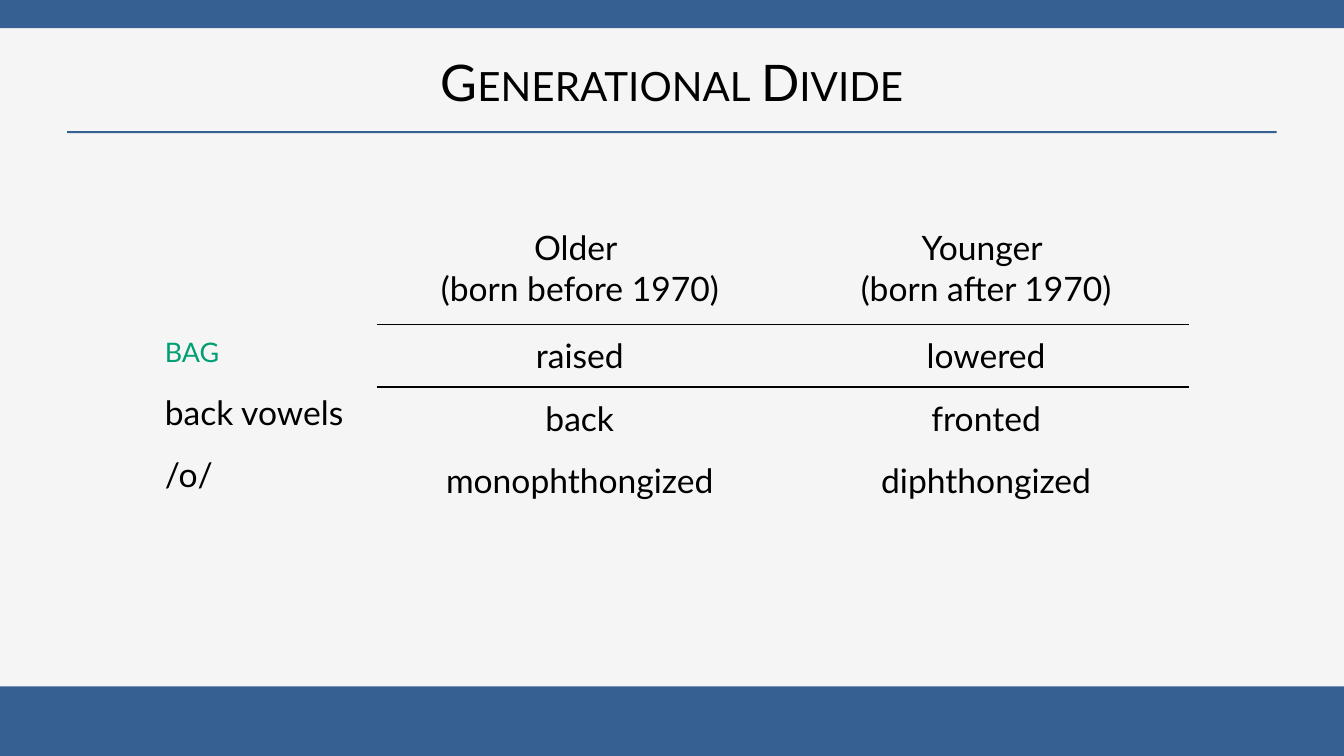
from lxml.etree import SubElement
from pptx import Presentation
from pptx.dml.color import RGBColor
from pptx.enum.shapes import MSO_SHAPE
from pptx.enum.text import MSO_ANCHOR, PP_ALIGN
from pptx.oxml import parse_xml
from pptx.oxml.ns import nsdecls, qn
from pptx.util import Inches, Pt

COLORS = {"back": "F5F5F5", "band": "376092", "text": "000000", "bag": "009E73"}
WIDE, HIGH = 13.33, 7.5
FONT = "Lato"
PLAIN = "{2D5ABB26-0587-4C30-8999-92F81FD0307C}"
COLS = [2.2, 4.03, 4.03]
ROWS = [1.12, 0.62, 0.62, 0.62]
RULED = {0: ["lnB"], 1: ["lnT", "lnB"]}
CELLS = [
    ["", "Older \n(born before 1970)", "Younger \n(born after 1970)"],
    ["bag", "raised", "lowered"],
    ["back vowels", "back", "fronted"],
    ["/o/", "monophthongized", "diphthongized"],
]


def color(name):
    """Return a named colour."""
    return RGBColor.from_string(COLORS[name])


def write(para, text, size, tint="text", align=PP_ALIGN.LEFT, small=False):
    """Fill a paragraph with styled text, in small capitals if asked."""
    para.text = text
    para.alignment = align
    para.font.name = FONT
    para.font.size = Pt(size)
    para.font.color.rgb = color(tint)
    if small:
        para.runs[0]._r.get_or_add_rPr().set("cap", "small")


def band(slide, box):
    """Draw one solid blue band in the box."""
    shape = slide.shapes.add_shape(MSO_SHAPE.RECTANGLE, *map(Inches, box))
    shape.shadow.inherit = False
    shape.fill.solid()
    shape.fill.fore_color.rgb = color("band")
    shape.line.fill.background()


def head(slide, box):
    """Place the title in the box with a rule under it."""
    left, top, width, height = box
    title = slide.shapes.title
    title.left, title.top, title.width, title.height = map(Inches, box)
    title.text_frame.vertical_anchor = MSO_ANCHOR.MIDDLE
    write(title.text_frame.paragraphs[0], "Generational Divide", 36,
          align=PP_ALIGN.CENTER, small=True)
    band(slide, (left, top + height, width, 0.02))


def rule(cell, sides):
    """Draw thin lines on the given sides of a cell."""
    props = cell._tc.get_or_add_tcPr()
    for spot, side in enumerate(sides):
        line = parse_xml(f'<a:{side} {nsdecls("a")} w="12700"/>')
        fill = SubElement(line, qn("a:solidFill"))
        SubElement(fill, qn("a:srgbClr"), val=COLORS["text"])
        props.insert(spot, line)


def grid(slide, left, top):
    """Place the comparison table with its corner at left and top."""
    frame = slide.shapes.add_table(
        len(ROWS), len(COLS), Inches(left), Inches(top),
        Inches(sum(COLS)), Inches(sum(ROWS)))
    table = frame.table
    table.first_row = table.horz_banding = False
    table._tbl.tblPr.find(qn("a:tableStyleId")).text = PLAIN
    for col, width in zip(table.columns, COLS):
        col.width = Inches(width)
    for row, height in zip(table.rows, ROWS):
        row.height = Inches(height)
    for r, texts in enumerate(CELLS):
        for c, text in enumerate(texts):
            cell = table.cell(r, c)
            cell.fill.background()
            bag = text == "bag"
            write(cell.text_frame.paragraphs[0], text, 24,
                  "bag" if bag else "text",
                  PP_ALIGN.CENTER if c else PP_ALIGN.LEFT, bag)
            if c:
                cell.vertical_anchor = MSO_ANCHOR.MIDDLE
                rule(cell, RULED.get(r, []))


def main():
    """Build the slide and save it."""
    deck = Presentation()
    deck.slide_width, deck.slide_height = Inches(WIDE), Inches(HIGH)
    slide = deck.slides.add_slide(deck.slide_layouts[5])
    slide.background.fill.solid()
    slide.background.fill.fore_color.rgb = color("back")
    band(slide, (0, 0, WIDE, 0.28))
    band(slide, (0, HIGH - 0.69, WIDE, 0.69))
    head(slide, (WIDE * 0.05, 0.31, WIDE * 0.9, 0.99))
    grid(slide, (WIDE - sum(COLS)) / 2, HIGH * 0.28)
    deck.save("out.pptx")


if __name__ == "__main__":
    main()
